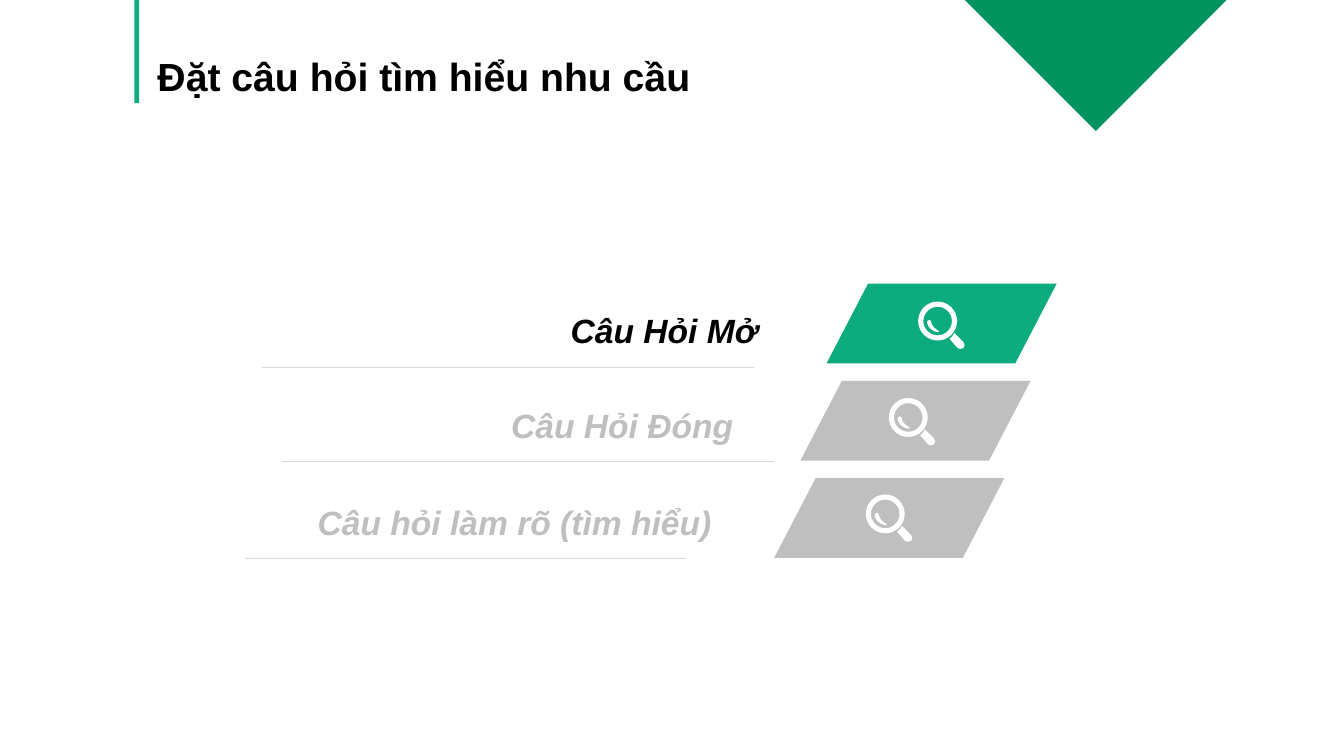
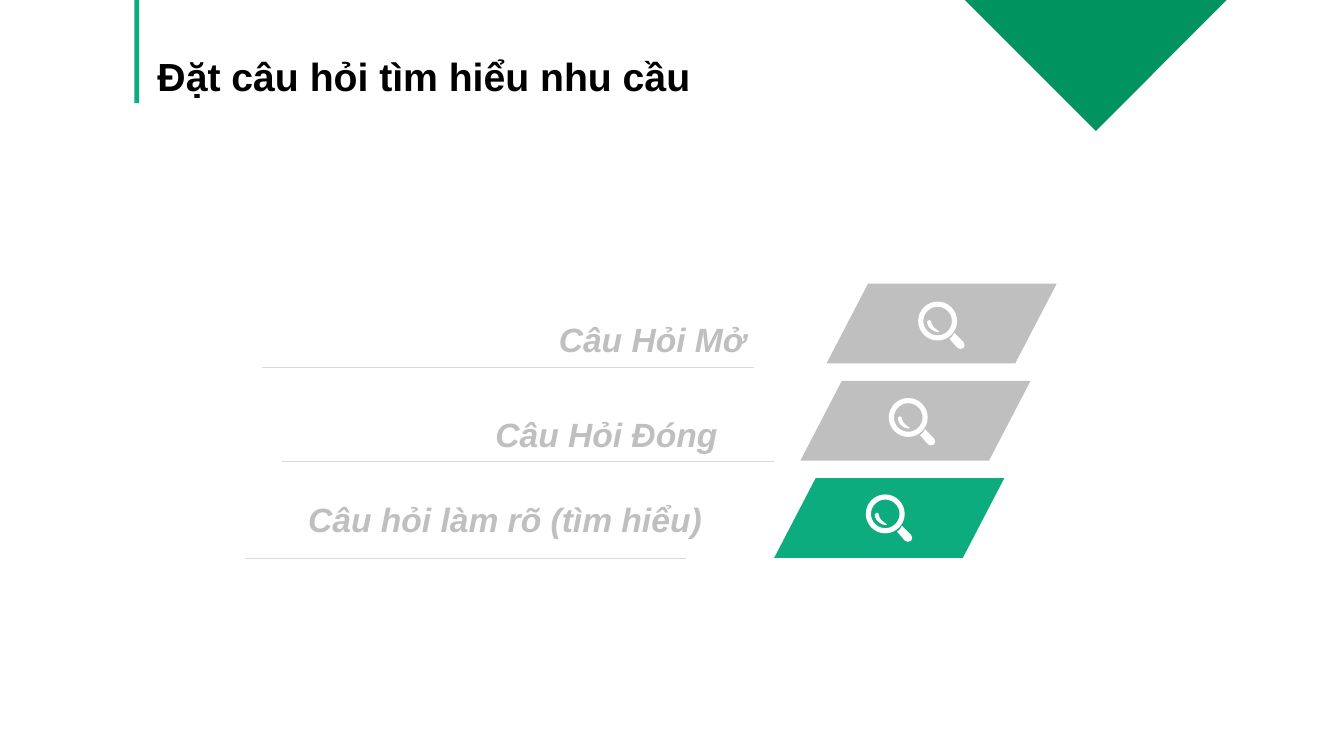
import lxml.etree
import pptx
import pptx.dml.color
import pptx.enum.shapes
import pptx.enum.text
import pptx.oxml.ns
import pptx.util

Cm = pptx.util.Cm
RGBColor = pptx.dml.color.RGBColor
SHAPES = pptx.enum.shapes.MSO_SHAPE
ALIGN = pptx.enum.text.PP_ALIGN
ANCHOR = pptx.enum.text.MSO_ANCHOR
qn = pptx.oxml.ns.qn

GREEN = RGBColor(0x0C, 0xAC, 0x7E)
DARK_GREEN = RGBColor(0x00, 0x92, 0x5F)
GRAY = RGBColor(0xBF, 0xBF, 0xBF)
LIGHT_GRAY = RGBColor(0xD9, 0xD9, 0xD9)
BLACK = RGBColor(0, 0, 0)
WHITE = RGBColor(0xFF, 0xFF, 0xFF)

TITLE = "Đặt câu hỏi tìm hiểu nhu cầu"
TITLE_FORMAT = {"name": "Arial", "size": pptx.util.Pt(28), "bold": True}
LABEL_FORMAT = {"name": "Arial", "size": pptx.util.Pt(24), "bold": True, "italic": True}

QUESTIONS = [
    {"text": "Câu Hỏi Mở", "rule": (6.6, 18.99, 9.24), "icon_left": 23.14},
    {"text": "Câu Hỏi Đóng", "rule": (7.11, 19.51, 11.61), "icon_left": 22.4},
    {"text": "Câu hỏi làm rõ (tìm hiểu)", "rule": (6.17, 17.3, 14.07), "icon_left": 21.82},
]
SLIDES = [
    {"green_tab": 0, "black_label": 0,
     "label_ends": [(19.09, 8.07), (18.48, 10.45), (17.93, 12.9)]},
    {"green_tab": 2, "black_label": None,
     "label_ends": [(18.79, 8.28), (18.08, 10.68), (17.69, 12.83)]},
]

TAB_LEFT, TAB_TOP, TAB_WIDTH, TAB_HEIGHT = 20.83, 7.15, 5.8, 2.01
TAB_SHIFT, TAB_PITCH = -0.66, 2.45
ICON_TOP, ICON_PITCH = 7.6, 2.43
LABEL_WIDTH, LABEL_HEIGHT = 12, 1.57

LENS_CENTRE, LENS_RADII = 0.49, (0.49, 0.36)
ARC_HANDLE_RATIO = 0.55
GRIP = [
    (0.91, 0.79),
    (0.99, 0.87), (1.06, 0.94), (1.14, 1.02),
    (1.18, 1.07), (1.18, 1.12), (1.14, 1.17),
    (1.09, 1.2), (1.03, 1.2), (0.99, 1.17),
    (0.92, 1.09), (0.86, 1.02), (0.79, 0.94),
    (0.84, 0.91), (0.88, 0.86), (0.91, 0.79),
]
GLINT = [
    (0.28, 0.46),
    (0.32, 0.46), (0.33, 0.5), (0.33, 0.53),
    (0.38, 0.71), (0.56, 0.74), (0.53, 0.76),
    (0.51, 0.79), (0.3, 0.76), (0.23, 0.56),
    (0.23, 0.53), (0.2, 0.46), (0.28, 0.46),
]
UNITS_PER_CM = 1000


def circle_curves(radius):
    offsets = [(1, 0)]
    for _ in range(4):
        x, y = offsets[-1]
        reach = ARC_HANDLE_RATIO
        offsets += [(x - y * reach, y + x * reach), (x * reach - y, y * reach + x), (-y, x)]
    return [(LENS_CENTRE + radius * x, LENS_CENTRE + radius * y) for x, y in offsets]


MAGNIFIER = [circle_curves(radius) for radius in LENS_RADII] + [GRIP, GLINT]


def paint(shape, color):
    shape.shadow.inherit = False
    shape.fill.solid()
    shape.fill.fore_color.rgb = color
    shape.line.fill.background()


def add_block(page, kind, left, top, width, height, color):
    block = page.shapes.add_shape(kind, Cm(left), Cm(top), Cm(width), Cm(height))
    paint(block, color)
    return block


def add_text(page, text, left, top, width, height, color, font_format, spacing, align, anchor):
    box = page.shapes.add_textbox(Cm(left), Cm(top), Cm(width), Cm(height))
    frame_format = {"word_wrap": True, "vertical_anchor": anchor, "margin_left": 0,
                    "margin_right": 0, "margin_top": 0, "margin_bottom": 0}
    for name, value in frame_format.items():
        setattr(box.text_frame, name, value)
    para = box.text_frame.paragraphs[0]
    para.alignment = align
    para.line_spacing = spacing
    span = para.add_run()
    span.text = text
    for name, value in font_format.items():
        setattr(span.font, name, value)
    span.font.color.rgb = color


def add_rule(page, start, end, top):
    rule = page.shapes.add_connector(pptx.enum.shapes.MSO_CONNECTOR.STRAIGHT,
                                     Cm(start), Cm(top), Cm(end), Cm(top))
    rule.line.color.rgb = LIGHT_GRAY
    rule.line.width = pptx.util.Pt(0.25)
    lxml.etree.SubElement(rule._element.spPr, qn("a:effectLst"))


def bend_segments(shape):
    segments = list(shape._element.iter(qn("a:lnTo")))
    for first, second, third in zip(segments[::3], segments[1::3], segments[2::3]):
        first.tag = qn("a:cubicBezTo")
        for segment in (second, third):
            first.append(segment[0])
            segment.getparent().remove(segment)


def add_magnifier(page, left, top):
    contours = [[(x * UNITS_PER_CM, y * UNITS_PER_CM) for x, y in points] for points in MAGNIFIER]
    builder = page.shapes.build_freeform(*contours[0][0], scale=Cm(1) / UNITS_PER_CM)
    for index, points in enumerate(contours):
        if index:
            builder.move_to(*points[0])
        builder.add_line_segments(points[1:], close=True)
    magnifier = builder.convert_to_shape(Cm(left), Cm(top))
    bend_segments(magnifier)
    paint(magnifier, WHITE)


def add_frame(page):
    corner = add_block(page, SHAPES.RIGHT_TRIANGLE, 25.27, -2.36, 4.69, 4.69, DARK_GREEN)
    corner.rotation = 315
    add_block(page, SHAPES.RECTANGLE, 3.39, 0, 0.12, 2.6, GREEN)
    add_text(page, TITLE, 3.97, 1.07, 17.4, 1.32, BLACK, TITLE_FORMAT, 1.2, ALIGN.LEFT, ANCHOR.TOP)


def add_question(page, row, question, label_end, tab_color, label_color):
    tab = add_block(page, SHAPES.PARALLELOGRAM, TAB_LEFT + row * TAB_SHIFT,
                    TAB_TOP + row * TAB_PITCH, TAB_WIDTH, TAB_HEIGHT, tab_color)
    tab.adjustments[0] = 0.52
    add_magnifier(page, question["icon_left"], ICON_TOP + row * ICON_PITCH)
    add_rule(page, *question["rule"])
    right, middle = label_end
    add_text(page, question["text"], right - LABEL_WIDTH, middle - LABEL_HEIGHT / 2,
             LABEL_WIDTH, LABEL_HEIGHT, label_color, LABEL_FORMAT, 1.5, ALIGN.RIGHT, ANCHOR.MIDDLE)


def main():
    deck = pptx.Presentation()
    deck.slide_width, deck.slide_height = Cm(33.87), Cm(19.05)
    for content in SLIDES:
        page = deck.slides.add_slide(deck.slide_layouts[6])
        add_frame(page)
        for row, (question, label_end) in enumerate(zip(QUESTIONS, content["label_ends"])):
            add_question(page, row, question, label_end,
                         GREEN if row == content["green_tab"] else GRAY,
                         BLACK if row == content["black_label"] else GRAY)
    deck.save("out.pptx")


if __name__ == "__main__":
    main()
